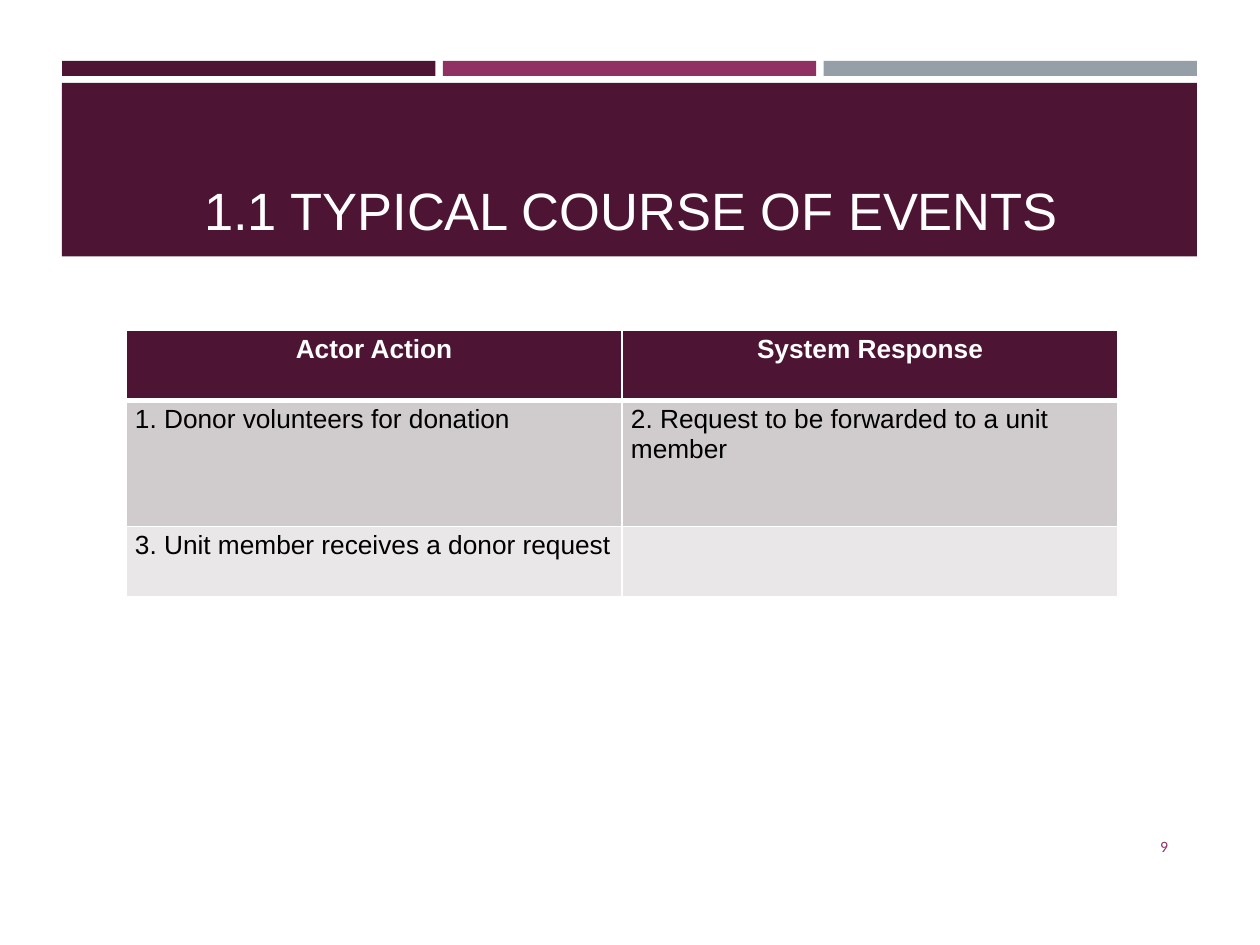
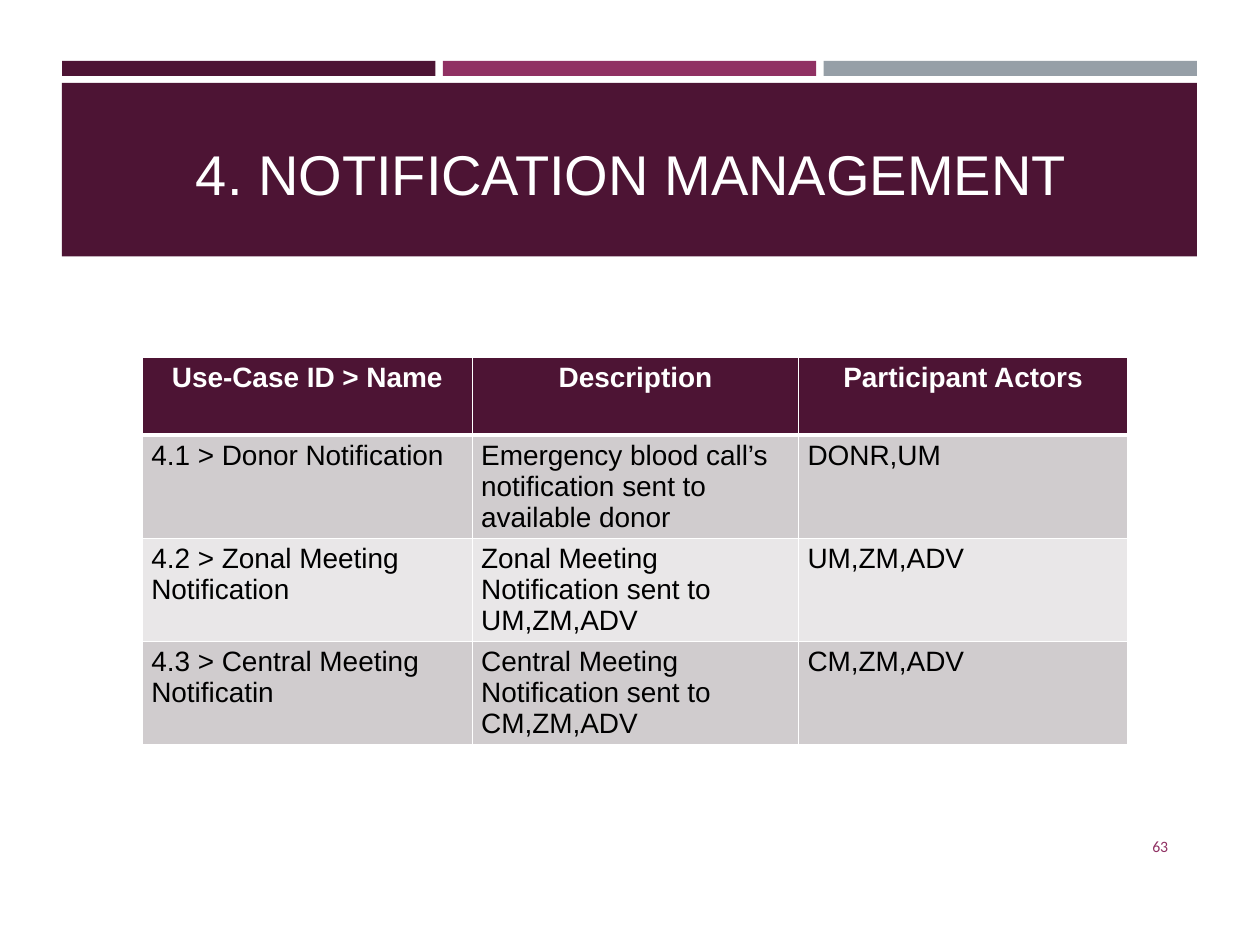
from lxml import etree
from pptx import Presentation
from pptx.dml.color import RGBColor
from pptx.enum import shapes, text
from pptx.oxml import ns
from pptx.util import Cm, Pt

PLUM = RGBColor(0x4D, 0x14, 0x34)
PINK = RGBColor(0x90, 0x31, 0x63)
GREY = RGBColor(0x96, 0x9F, 0xA7)
DARK = RGBColor(0xD0, 0xCC, 0xCE)
PALE = RGBColor(0xE9, 0xE7, 0xE8)
WHITE = RGBColor(0xFF, 0xFF, 0xFF)
BLACK = RGBColor(0, 0, 0)

PAGES = [
    dict(
        title="1.1 TYPICAL COURSE OF EVENTS", size=30, box=(1.9, 3), foot=0.05,
        number="9", start=(2.54, 6.65), cell=15,
        cols=[10, 10], rows=[1.42, 2.54, 1.42],
        cells=[
            ("Actor Action", "System Response"),
            ("1. Donor volunteers for donation",
             "2. Request to be forwarded to a unit member"),
            ("3. Unit member receives a donor request", ""),
        ],
    ),
    dict(
        title="4. NOTIFICATION MANAGEMENT", size=32, box=(2.54, 1.75), foot=0.13,
        number="63", start=(2.87, 7.2), cell=16,
        cols=[6.65, 6.58, 6.63], rows=[1.57, 2.08, 2.08, 2.08],
        cells=[
            ("Use-Case ID > Name", "Description", "Participant Actors"),
            ("4.1 > Donor Notification",
             "Emergency blood call’s notification sent to available donor",
             "DONR,UM"),
            ("4.2 > Zonal Meeting Notification",
             "Zonal Meeting Notification sent to UM,ZM,ADV", "UM,ZM,ADV"),
            ("4.3 > Central Meeting Notificatin",
             "Central Meeting Notification sent to CM,ZM,ADV", "CM,ZM,ADV"),
        ],
    ),
]

LEFT, WIDE, GAP = 1.25, 22.88, 0.15
BARS = [PLUM, PINK, GREY]


def style(para, name, size, color, align, bold=False):
    para.alignment = align
    font = para.font
    font.name, font.size, font.bold = name, Pt(size), bold
    font.color.rgb = color


def block(slide, x, y, w, h, color):
    rect = slide.shapes.add_shape(
        shapes.MSO_SHAPE.RECTANGLE, Cm(x), Cm(y), Cm(w), Cm(h))
    rect.shadow.inherit = False
    rect.fill.solid()
    rect.fill.fore_color.rgb = color
    rect.line.fill.background()


def bands(slide):
    wide = (WIDE - GAP * (len(BARS) - 1)) / len(BARS)
    for i, color in enumerate(BARS):
        block(slide, LEFT + i * (wide + GAP), 1.23, wide, 0.3, color)
    block(slide, LEFT, 1.67, WIDE, 3.5, PLUM)


def head(slide, page):
    title = slide.shapes.title
    slide.shapes._spTree.append(title._element)
    top, high = page["box"]
    title.left, title.top = Cm(1.63), Cm(top)
    title.width, title.height = Cm(22.2), Cm(high)
    frame = title.text_frame
    frame.text = page["title"]
    frame.auto_size = text.MSO_AUTO_SIZE.NONE
    frame.vertical_anchor = text.MSO_ANCHOR.BOTTOM
    frame.margin_bottom = Cm(page["foot"])
    style(frame.paragraphs[0], "Arial", page["size"], WHITE, text.PP_ALIGN.CENTER)


def edge(cell, row):
    props = cell._tc.get_or_add_tcPr()
    thick = {"T": 3 if row == 1 else 1, "B": 3 if row == 0 else 1}
    for i, side in enumerate("LRTB"):
        line = etree.Element(ns.qn("a:ln" + side), w=str(Pt(thick.get(side, 1))))
        fill = etree.SubElement(line, ns.qn("a:solidFill"))
        etree.SubElement(fill, ns.qn("a:srgbClr"), val=str(WHITE))
        props.insert(i, line)


def grid(slide, page):
    cols, rows = page["cols"], page["rows"]
    x, y = page["start"]
    table = slide.shapes.add_table(
        len(rows), len(cols), Cm(x), Cm(y), Cm(sum(cols)), Cm(sum(rows))).table
    for col, wide in zip(table.columns, cols):
        col.width = Cm(wide)
    for r, (row, high) in enumerate(zip(table.rows, rows)):
        row.height = Cm(high)
        top = r == 0
        for cell, words in zip(row.cells, page["cells"][r]):
            cell.text = words
            cell.margin_left = cell.margin_right = Cm(0.18)
            cell.margin_top = cell.margin_bottom = Cm(0.1)
            cell.fill.solid()
            cell.fill.fore_color.rgb = PLUM if top else DARK if r % 2 else PALE
            style(cell.text_frame.paragraphs[0], "Arial", page["cell"],
                  WHITE if top else BLACK,
                  text.PP_ALIGN.CENTER if top else text.PP_ALIGN.LEFT, top)
            edge(cell, r)


def number(slide, words):
    frame = slide.shapes.add_textbox(
        Cm(21.67), Cm(16.54), Cm(2.13), Cm(1.02)).text_frame
    frame.word_wrap = True
    frame.vertical_anchor = text.MSO_ANCHOR.MIDDLE
    frame.text = words
    style(frame.paragraphs[0], "Calibri", 9, PINK, text.PP_ALIGN.RIGHT)


def main():
    deck = Presentation()
    deck.slide_width, deck.slide_height = Cm(25.4), Cm(19.05)
    for page in PAGES:
        slide = deck.slides.add_slide(deck.slide_layouts[5])
        bands(slide)
        head(slide, page)
        grid(slide, page)
        number(slide, page["number"])
    deck.save("out.pptx")


if __name__ == "__main__":
    main()
